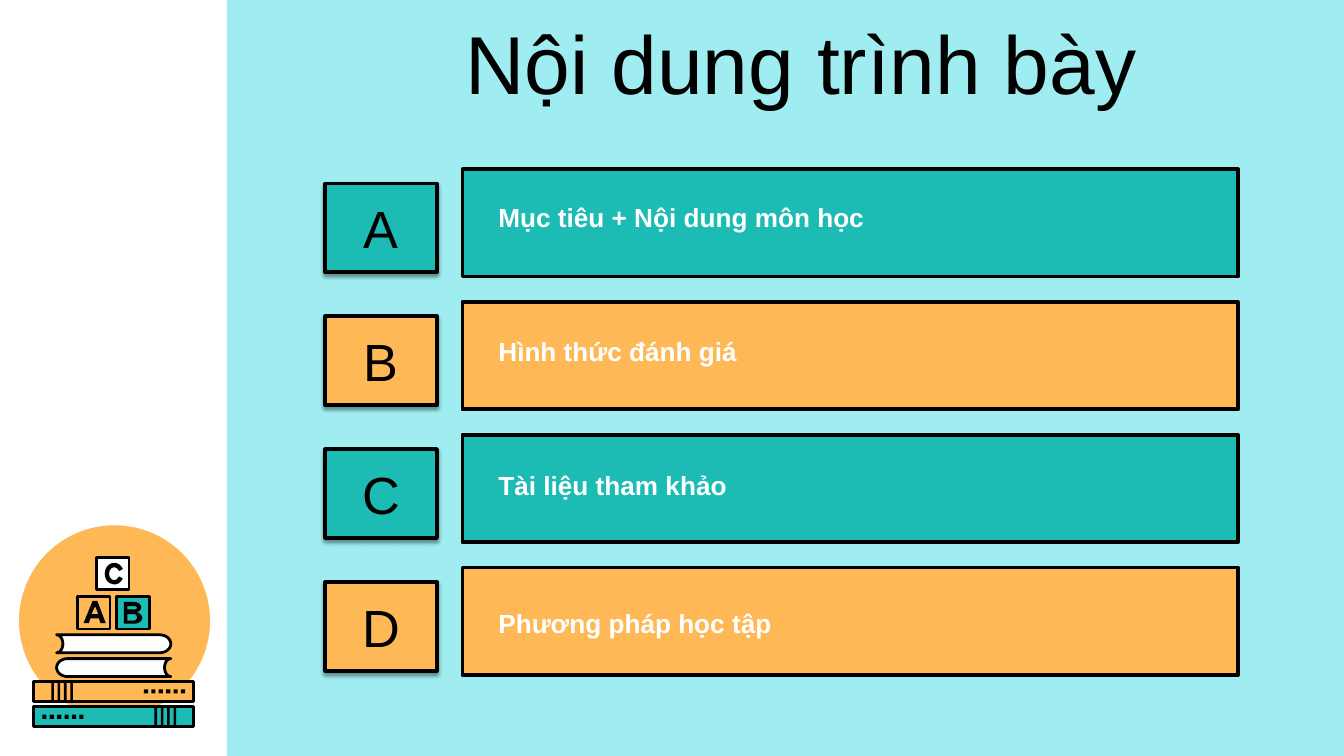
"""Build the agenda slide with four lettered topics and a stack of school books."""
from dataclasses import dataclass
from math import cos, pi, sin

from lxml import etree
from pptx import Presentation
from pptx import util as u
from pptx.dml.color import RGBColor
from pptx.enum import shapes, text
from pptx.oxml.ns import qn


@dataclass(frozen=True)
class Theme:
    font: str = "Arial"
    black: str = "000000"
    white: str = "FFFFFF"
    sky: str = "9FEDF0"
    teal: str = "1CBBB4"
    orange: str = "FEB856"
    title_size: int = 44
    letter_size: int = 28
    topic_size: int = 14
    art_line: float = 1.5
    card_line: float = 2


theme = Theme()
kinds = shapes.MSO_SHAPE
presentation = Presentation()
presentation.slide_width = u.Cm(25.4)
presentation.slide_height = u.Cm(14.29)
slide = presentation.slides.add_slide(presentation.slide_layouts[6])


def draw(outline, box, fill, line=None):
    """Paint a freeform, or add a preset shape in a box given in centimetres."""
    shape = outline
    if box:
        shape = slide.shapes.add_shape(outline, *map(u.Cm, box))
    shape.shadow.inherit = False
    shape.fill.solid()
    shape.fill.fore_color.rgb = RGBColor.from_string(fill)
    if line:
        shape.line.color.rgb = RGBColor.from_string(theme.black)
        shape.line.width = u.Pt(line)
        etree.SubElement(shape._element.spPr.find(qn("a:ln")), qn("a:round"))
    else:
        shape.line.fill.background()
    return shape


def write(shape, words, size, color, bold=False, align="LEFT", anchor="TOP", wrap=True):
    """Put one formatted paragraph in a shape."""
    frame = shape.text_frame
    frame.word_wrap = wrap
    frame.vertical_anchor = text.MSO_ANCHOR[anchor]
    paragraph = frame.paragraphs[0]
    paragraph.alignment = text.PP_ALIGN[align]
    run = paragraph.add_run()
    run.text = words
    run.font.name = theme.font
    run.font.size = u.Pt(size)
    run.font.bold = bold
    run.font.color.rgb = RGBColor.from_string(color)


draw(kinds.RECTANGLE, (4.29, 0, 21.11, 14.29), theme.sky)
draw(kinds.OVAL, (0.36, 9.93, 3.61, 3.61), theme.orange)

mirror = 4.3
for top, fill, flipped in ((12.88, theme.orange, False), (13.36, theme.teal, True)):
    draw(kinds.RECTANGLE, (0.64, top, 3.02, 0.38), fill, theme.art_line)
    marks = [(0.97 + 0.12 * i, top, 0.05, 0.38) for i in range(4)]
    marks += [(2.72 + 0.14 * i, top + 0.15, 0.08, 0.08) for i in range(6)]
    for left, mark_top, width, height in marks:
        if flipped:
            left = mirror - left - width
        draw(kinds.RECTANGLE, (left, mark_top, width, height), theme.black)

for left, top, fill in ((1.47, 11.28, theme.orange), (2.21, 11.28, theme.teal),
                        (1.83, 10.54, theme.white)):
    draw(kinds.RECTANGLE, (left, top, 0.61, 0.61), fill, theme.art_line)

letter_c = draw(kinds.BLOCK_ARC, (1.98, 10.64, 0.36, 0.41), theme.black)
for i, value in enumerate((17.567, 198.895, 0.228)):
    letter_c.adjustments[i] = value

# A pair is a corner; four numbers are a half ellipse: centre and radii.
letter_a = [
    [(1.8, 11.46), (1.73, 11.61), (1.86, 11.61)],
    [(1.75, 11.36), (1.84, 11.36), (2.0, 11.78), (1.9, 11.78), (1.87, 11.69),
     (1.71, 11.69), (1.68, 11.78), (1.58, 11.78)],
]
letter_b = [
    [(2.34, 11.38), (2.54, 11.48, 0.13, 0.1), (2.54, 11.68, 0.15, 0.11), (2.34, 11.79)],
    [(2.41, 11.46), (2.55, 11.49, 0.04, 0.03), (2.41, 11.52)],
    [(2.41, 11.61), (2.54, 11.67, 0.05, 0.06), (2.41, 11.73)],
]
upper_book = [[(3.02, 12.17, 0.21, 0.17), (1.07, 12.17, 0.12, -0.17)]]
lower_book = [[(mirror - 3.02, 12.62, -0.21, 0.17), (mirror - 1.07, 12.62, -0.12, -0.17)]]
for contours, fill, line in ((letter_a, theme.black, None), (letter_b, theme.black, None),
                             (upper_book, theme.white, theme.art_line),
                             (lower_book, theme.white, theme.art_line)):
    builder = None
    for contour in contours:
        points = []
        for x, y, *radii in contour:
            if radii:
                points += [(x + radii[0] * sin(pi * i / 12), y - radii[1] * cos(pi * i / 12))
                           for i in range(13)]
            else:
                points.append((x, y))
        points = [(u.Cm(x), u.Cm(y)) for x, y in points]
        if builder:
            builder.move_to(*points[0])
        else:
            builder = slide.shapes.build_freeform(*points[0])
        builder.add_line_segments(points[1:], close=True)
    draw(builder.convert_to_shape(), None, fill, line)

title = slide.shapes.add_textbox(*map(u.Cm, (4.9, 0.08, 20.5, 2.16)))
write(title, "Nội dung trình bày", theme.title_size, theme.black,
      align="CENTER", anchor="MIDDLE")

topics = (
    ("A", "Mục tiêu + Nội dung môn học", theme.teal, 3.68),
    ("B", "Hình thức đánh giá", theme.orange, 6.22),
    ("C", "Tài liệu tham khảo", theme.teal, 8.74),
    ("D", "Phương pháp học tập", theme.orange, 11.35),
)
for row, (letter, topic, fill, topic_top) in enumerate(topics):
    top = 3.2 + 2.51 * row
    badge = draw(kinds.RECTANGLE, (6.15, top + 0.27, 2.11, 1.68), fill, theme.card_line)
    effects = badge._element.spPr.find(qn("a:effectLst"))
    shadow = etree.SubElement(effects, qn("a:outerShdw"), blurRad=str(u.Pt(2)),
                              dist=str(u.Pt(1.5)), dir="5400000", rotWithShape="0")
    color = etree.SubElement(shadow, qn("a:srgbClr"), val=theme.black)
    etree.SubElement(color, qn("a:alpha"), val="40000")
    write(badge, letter, theme.letter_size, theme.black,
          align="CENTER", anchor="MIDDLE", wrap=False)
    draw(kinds.RECTANGLE, (8.74, top, 14.66, 2.03), fill, theme.card_line)
    label = slide.shapes.add_textbox(*map(u.Cm, (9.17, topic_top, 13.2, 0.86)))
    write(label, topic, theme.topic_size, theme.white, bold=True)

presentation.save("out.pptx")
